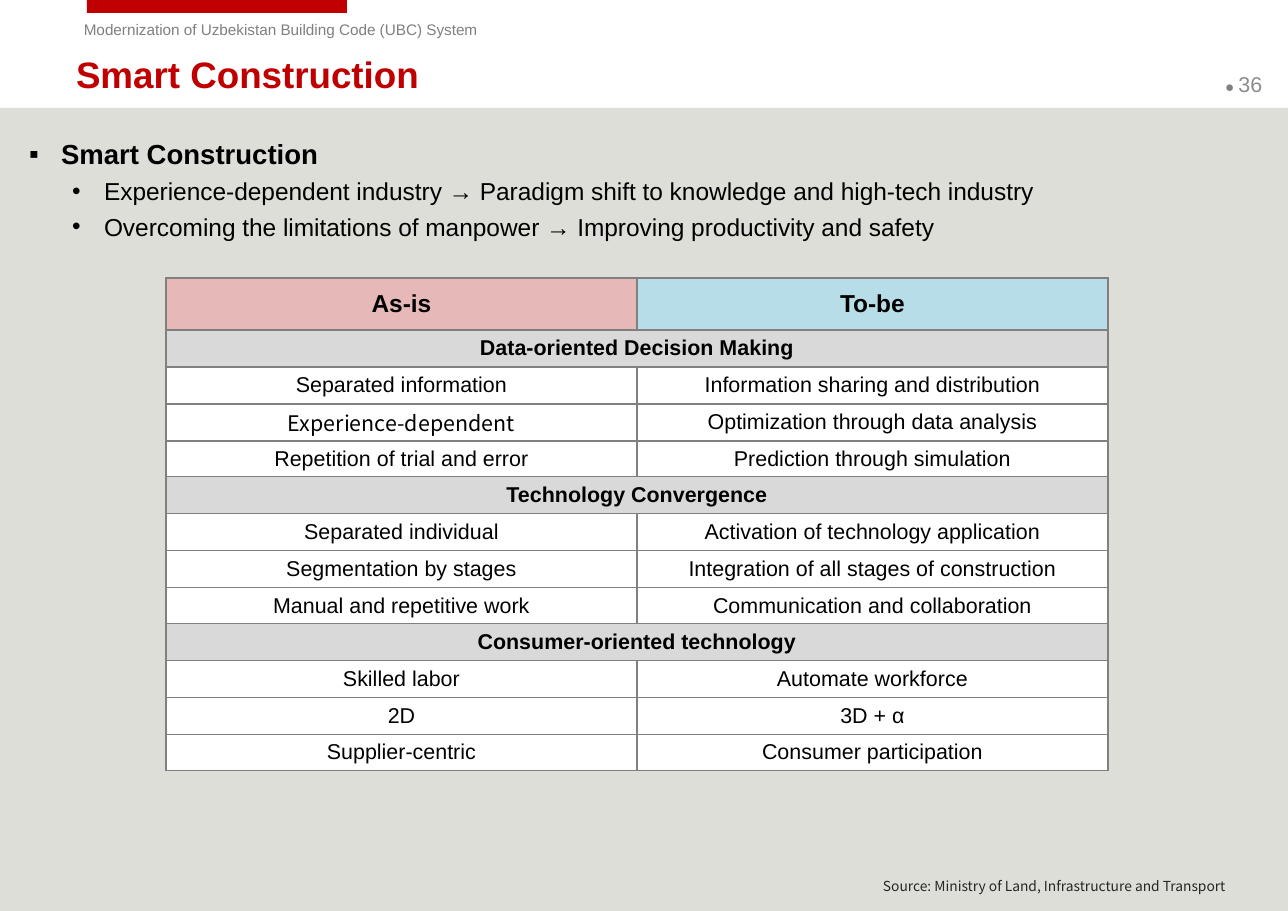
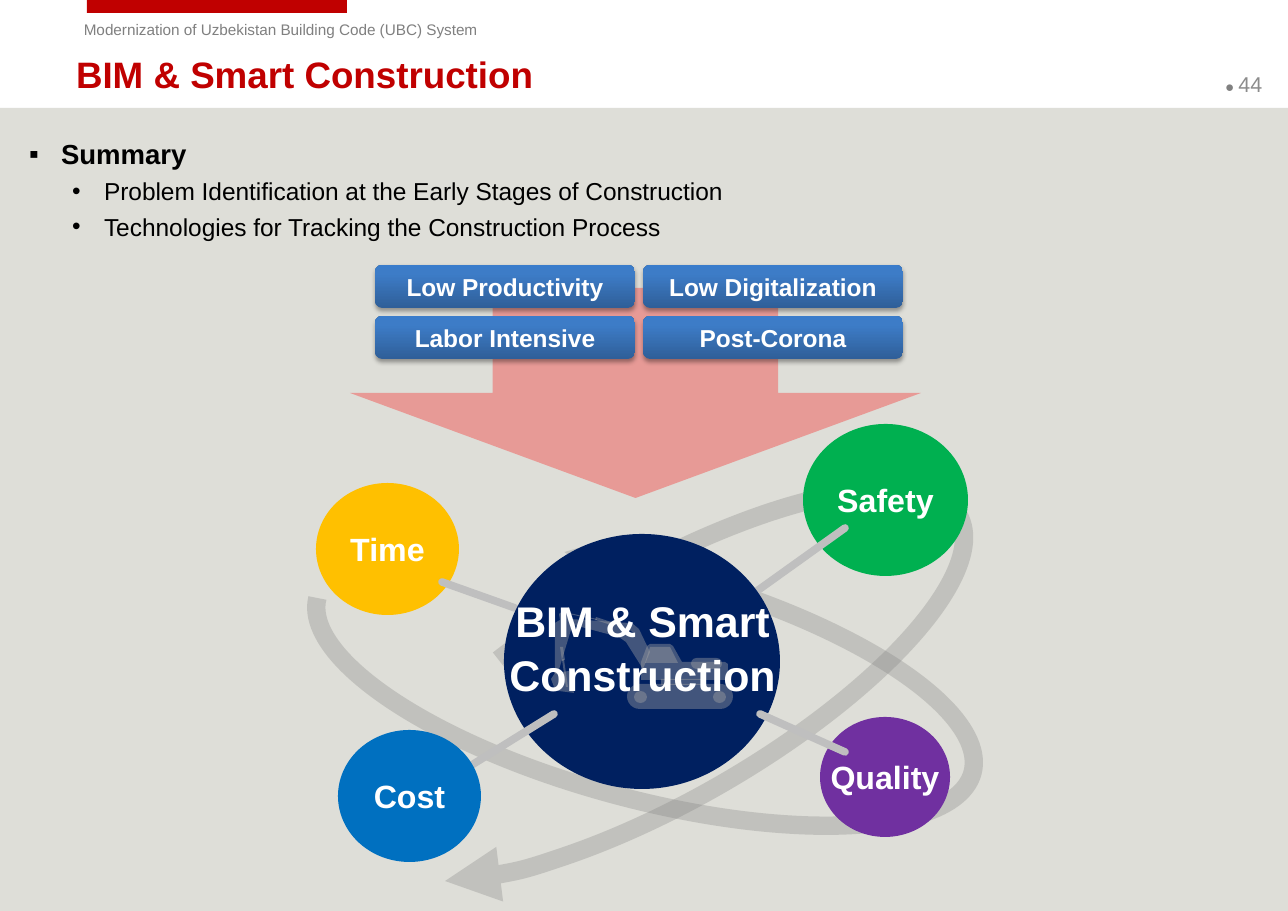
"""Build two slides on smart construction: a comparison table and a summary diagram."""
from copy import deepcopy

from lxml.etree import SubElement
from pptx import Presentation
from pptx.dml.color import RGBColor
from pptx.enum.shapes import MSO_CONNECTOR, MSO_SHAPE
from pptx.enum.text import MSO_ANCHOR, MSO_AUTO_SIZE, PP_ALIGN
from pptx.oxml.ns import qn
from pptx.util import Pt

PX = 8298
RED, GREY, BLACK, WHITE = "C00000", "808080", "000000", "FFFFFF"
CJK = "Noto Sans CJK KR"
FRAME = {"word_wrap": True, "auto_size": MSO_AUTO_SIZE.NONE,
         "margin_left": 12 * PX, "margin_right": 12 * PX,
         "margin_top": 6 * PX, "margin_bottom": 6 * PX}


def paint(fill, color, opacity=100):
    """Make a fill solid, with an opacity in percent."""
    fill.solid()
    fill.fore_color.rgb = RGBColor.from_string(color)
    if opacity < 100:
        SubElement(fill._xPr.find(qn("a:solidFill"))[0], qn("a:alpha"), val=str(opacity * 1000))


def write(paragraph, text, color, size, bold=False, name="Arial"):
    """Add text to a paragraph, with a line break at each newline."""
    for index, line in enumerate(text.split("\n")):
        if index:
            paragraph.add_line_break()
        run = paragraph.add_run()
        run.text = line
        for attribute, value in {"size": Pt(size), "bold": bold, "name": name}.items():
            setattr(run.font, attribute, value)
        paint(run.font.fill, color)


presentation = Presentation()
presentation.slide_width, presentation.slide_height = 1288 * PX, 911 * PX
layout = presentation.slide_layouts[5]
for placeholder in list(layout.placeholders)[1:]:
    layout.shapes.element.remove(placeholder.element)

pages = [
    ("Smart Construction", "36", [
        "Smart Construction",
        "Experience-dependent industry → Paradigm shift to knowledge and high-tech industry",
        "Overcoming the limitations of manpower → Improving productivity and safety"]),
    ("BIM & Smart Construction", "44", [
        "Summary",
        "Problem Identification at the Early Stages of Construction",
        "Technologies for Tracking the Construction Process"]),
]
slides = [presentation.slides.add_slide(layout) for page in pages]

shared_shapes = []
for box, color in [((0, 108, 1288, 803), "DEDED8"), ((87, 0, 260, 13), RED)]:
    shape = slides[0].shapes.add_shape(MSO_SHAPE.RECTANGLE, *[n * PX for n in box])
    shape.shadow.inherit = False
    shape.line.fill.background()
    paint(shape.fill, color)
    shared_shapes.append(shape)
header = slides[0].shapes.add_textbox(73 * PX, 15 * PX, 516 * PX, 30 * PX)
header.text_frame.word_wrap = True
write(header.text_frame.paragraphs[0],
      "Modernization of Uzbekistan Building Code (UBC) System", GREY, 10)
for shape in shared_shapes + [header]:
    layout.shapes.element.append(shape.element)

for slide, (title, number, bullets) in zip(slides, pages):
    title_shape = slide.shapes.title
    for attribute, value in {"left": 64, "top": 52, "width": 1148, "height": 44}.items():
        setattr(title_shape, attribute, value * PX)
    number_shape = slide.shapes.add_textbox(1213 * PX, 60 * PX, 75 * PX, 48 * PX)
    body_shape = slide.shapes.add_textbox(17 * PX, 131 * PX, 1254 * PX, 757 * PX)
    for shape, anchor in [(title_shape, MSO_ANCHOR.MIDDLE), (number_shape, MSO_ANCHOR.MIDDLE),
                          (body_shape, MSO_ANCHOR.TOP)]:
        shape.text_frame.vertical_anchor = anchor
        for attribute, value in FRAME.items():
            setattr(shape.text_frame, attribute, value)

    paragraph = title_shape.text_frame.paragraphs[0]
    paragraph.alignment = PP_ALIGN.LEFT
    write(paragraph, title, RED, 24, True)
    paragraph = number_shape.text_frame.paragraphs[0]
    write(paragraph, "● ", GREY, 10)
    write(paragraph, number, "8C8C8C", 14)

    for index, text in enumerate(bullets):
        body = body_shape.text_frame
        paragraph = body.add_paragraph() if index else body.paragraphs[0]
        if index:
            paragraph.level = 1
            paragraph.space_before = Pt(4)
        properties = paragraph._p.get_or_add_pPr()
        properties.set("marL", str((75 if index else 32) * PX))
        properties.set("indent", str(-32 * PX))
        SubElement(properties, qn("a:buFont"), typeface="Arial")
        SubElement(properties, qn("a:buChar"), char="•" if index else "▪")
        write(paragraph, text, BLACK, 16 if index else 18, not index)

table_slide, diagram_slide = slides

rows = [
    ("As-is", "To-be"),
    ("Data-oriented Decision Making",),
    ("Separated information", "Information sharing and distribution"),
    ("Experience-dependent", "Optimization through data analysis"),
    ("Repetition of trial and error", "Prediction through simulation"),
    ("Technology Convergence",),
    ("Separated individual", "Activation of technology application"),
    ("Segmentation by stages", "Integration of all stages of construction"),
    ("Manual and repetitive work", "Communication and collaboration"),
    ("Consumer-oriented technology",),
    ("Skilled labor", "Automate workforce"),
    ("2D", "3D + α"),
    ("Supplier-centric", "Consumer participation"),
]
table = table_slide.shapes.add_table(
    len(rows), 2, 166 * PX, 278 * PX, 942 * PX, 493 * PX).table
for row_index, texts in enumerate(rows):
    table.rows[row_index].height = (36 + (row_index % 4 > 0) if row_index else 52) * PX
    is_section = len(texts) == 1
    for column_index in range(2):
        cell = table.cell(row_index, column_index)
        cell.vertical_anchor = MSO_ANCHOR.MIDDLE
        cell.margin_top = cell.margin_bottom = 0
        header_color = ("E6B9B8", "B7DEE8")[column_index]
        paint(cell.fill, "D9D9D9" if is_section else WHITE if row_index else header_color)
        cell_properties = cell._tc.get_or_add_tcPr()
        for side_index, side in enumerate(("a:lnL", "a:lnR", "a:lnT", "a:lnB")):
            border = SubElement(cell_properties, qn(side), w=str(Pt(1)))
            SubElement(SubElement(border, qn("a:solidFill")), qn("a:srgbClr"), val=GREY)
            cell_properties.insert(side_index, border)
        if column_index < len(texts):
            text = texts[column_index]
            paragraph = cell.text_frame.paragraphs[0]
            paragraph.alignment = PP_ALIGN.CENTER
            write(paragraph, text, BLACK, 14 if row_index else 16, is_section or not row_index,
                  CJK if text == "Experience-dependent" else "Arial")
    if is_section:
        table.cell(row_index, 0).merge(table.cell(row_index, 1))

source = table_slide.shapes.add_textbox(528 * PX, 872 * PX, 708 * PX, 28 * PX)
source.text_frame.word_wrap = True
paragraph = source.text_frame.paragraphs[0]
paragraph.alignment = PP_ALIGN.RIGHT
write(paragraph, "Source: Ministry of Land, Infrastructure and Transport", "262626", 9, name=CJK)

shapes = diagram_slide.shapes
arrow = shapes.add_shape(MSO_SHAPE.DOWN_ARROW, 350 * PX, 288 * PX, 571 * PX, 210 * PX)
arrow.shadow.inherit = False
arrow.line.fill.background()
paint(arrow.fill, "FF0000", 30)

for left, rotation, angles, arrow_end in [(551, 60, (128.61, 78.28), "a:tailEnd"),
                                          (531, 105, (133.78, 89.86), "a:headEnd")]:
    arc = shapes.add_shape(MSO_SHAPE.ARC, left * PX, 346 * PX, 228 * PX, 678 * PX)
    arc.shadow.inherit = False
    arc.rotation = rotation
    for index, angle in enumerate(angles):
        arc.adjustments[index] = angle * 0.6
    arc.fill.background()
    arc.line.width = Pt(12)
    paint(arc.line.fill, GREY, 30)
    SubElement(arc.element.spPr.find(qn("a:ln")), qn(arrow_end), type="triangle")

circles = [
    ("Safety", (803, 424, 165, 152), "00B050", [(845, 528, 757, 591)]),
    ("Time", (316, 483, 143, 132), "FFC000", [(442, 582, 515, 608)]),
    ("Quality", (820, 717, 130, 120), "7030A0", []),
    ("", (504, 534, 276, 255), "002060", [(467, 768, 554, 714), (760, 714, 845, 752)]),
    ("Cost", (338, 730, 143, 132), "0070C0", []),
]
for text, box, color, spokes in circles:
    circle = shapes.add_shape(MSO_SHAPE.OVAL, *[n * PX for n in box])
    circle.shadow.inherit = False
    circle.line.fill.background()
    paint(circle.fill, color)
    if text:
        circle.text_frame.word_wrap = False
        paragraph = circle.text_frame.paragraphs[0]
        paragraph.alignment = PP_ALIGN.CENTER
        write(paragraph, text, WHITE, 21, True)
    for ends in spokes:
        spoke = shapes.add_connector(MSO_CONNECTOR.STRAIGHT, *[n * PX for n in ends])
        spoke.line.width = Pt(5)
        paint(spoke.line.fill, "BFBFBF")
        spoke.element.spPr.find(qn("a:ln")).set("cap", "rnd")
        SubElement(spoke.element.spPr, qn("a:effectLst"))

excavator_outlines = [
    [[(597, 619), (597, 620), (569, 614), (569, 613)]],
    [[(595, 620), (596, 617), (611, 622), (611, 625)]],
    [[(562, 659), (564, 659), (568, 687), (566, 687)]],
    [[(560, 647), (563, 647), (565, 660), (562, 661)]],
    [[(570, 619), (629, 623), (633, 624), (639, 629), (650, 652), (643, 669), (626, 642),
      (619, 637), (570, 624)],
     [(629, 629), (626, 633), (629, 636), (633, 633)]],
    [[(650, 644), (647, 646), (641, 662), (641, 680), (725, 680), (728, 678), (728, 664),
      (725, 662), (682, 662), (673, 646), (670, 644)]],
    [[(569, 607), (571, 630), (558, 673), (569, 671), (574, 693), (558, 691), (554, 687),
      (551, 679), (555, 673), (555, 623), (560, 620), (559, 614)],
     [(564, 619), (562, 622), (564, 624), (566, 622)]],
    [[(650, 647), (670, 647), (678, 663), (645, 663)]],
]
excavator_parts = []
for outlines in excavator_outlines:
    builder = shapes.build_freeform(*outlines[0][0], scale=PX)
    builder.add_line_segments(outlines[0][1:])
    for hole in outlines[1:]:
        builder.move_to(*hole[0])
        builder.add_line_segments(hole[1:])
    excavator_parts.append(builder.convert_to_shape())
for kind, box in [(MSO_SHAPE.OVAL, (554, 670, 5, 4)),
                  (MSO_SHAPE.ROUNDED_RECTANGLE, (627, 684, 106, 25)),
                  (MSO_SHAPE.OVAL, (634, 691, 13, 12)),
                  (MSO_SHAPE.OVAL, (713, 691, 13, 12)),
                  (MSO_SHAPE.ROUNDED_RECTANGLE, (691, 658, 31, 11)),
                  (MSO_SHAPE.RECTANGLE, (661, 679, 44, 6))]:
    part = shapes.add_shape(kind, *[n * PX for n in box])
    if kind == MSO_SHAPE.ROUNDED_RECTANGLE:
        part.adjustments[0] = 0.5
    excavator_parts.append(part)
for part in excavator_parts:
    part.shadow.inherit = False
    part.line.fill.background()
    paint(part.fill, "A6A6A6", 40)

center_label = shapes.add_textbox(497 * PX, 570 * PX, 291 * PX, 153 * PX)
center_label.text_frame.word_wrap = True
center_label.text_frame.vertical_anchor = MSO_ANCHOR.MIDDLE
paragraph = center_label.text_frame.paragraphs[0]
paragraph.alignment = PP_ALIGN.CENTER
paragraph.line_spacing = 1.05
write(paragraph, "BIM & Smart\nConstruction", WHITE, 28, True)

issues = ["Low Productivity", "Low Digitalization", "Labor Intensive", "Post-Corona"]
for index, text in enumerate(issues):
    row, column = divmod(index, 2)
    button = shapes.add_shape(MSO_SHAPE.ROUNDED_RECTANGLE, (375 + 268 * column) * PX,
                              (265 + 51 * row) * PX, 260 * PX, 43 * PX)
    button.line.fill.background()
    button.fill.gradient()
    button.fill.gradient_angle = 90
    stop_list = button.element.spPr.find(qn("a:gradFill")).find(qn("a:gsLst"))
    stop_list.append(deepcopy(stop_list[-1]))
    for stop, position, color in zip(button.fill.gradient_stops, (0, 0.8, 1),
                                     ("2F5F99", "3D7CC7", "3A7CCB")):
        stop.position = position
        stop.color.rgb = RGBColor.from_string(color)
    button.shadow.inherit = False
    shadow = SubElement(button.element.spPr.find(qn("a:effectLst")), qn("a:outerShdw"),
                        blurRad=str(Pt(3.1)), dist=str(Pt(1.8)), dir="5400000", rotWithShape="0")
    shadow_color = SubElement(shadow, qn("a:srgbClr"), val=BLACK)
    SubElement(shadow_color, qn("a:alpha"), val="35000")
    paragraph = button.text_frame.paragraphs[0]
    paragraph.alignment = PP_ALIGN.CENTER
    write(paragraph, text, WHITE, 16, True)

presentation.save("out.pptx")
